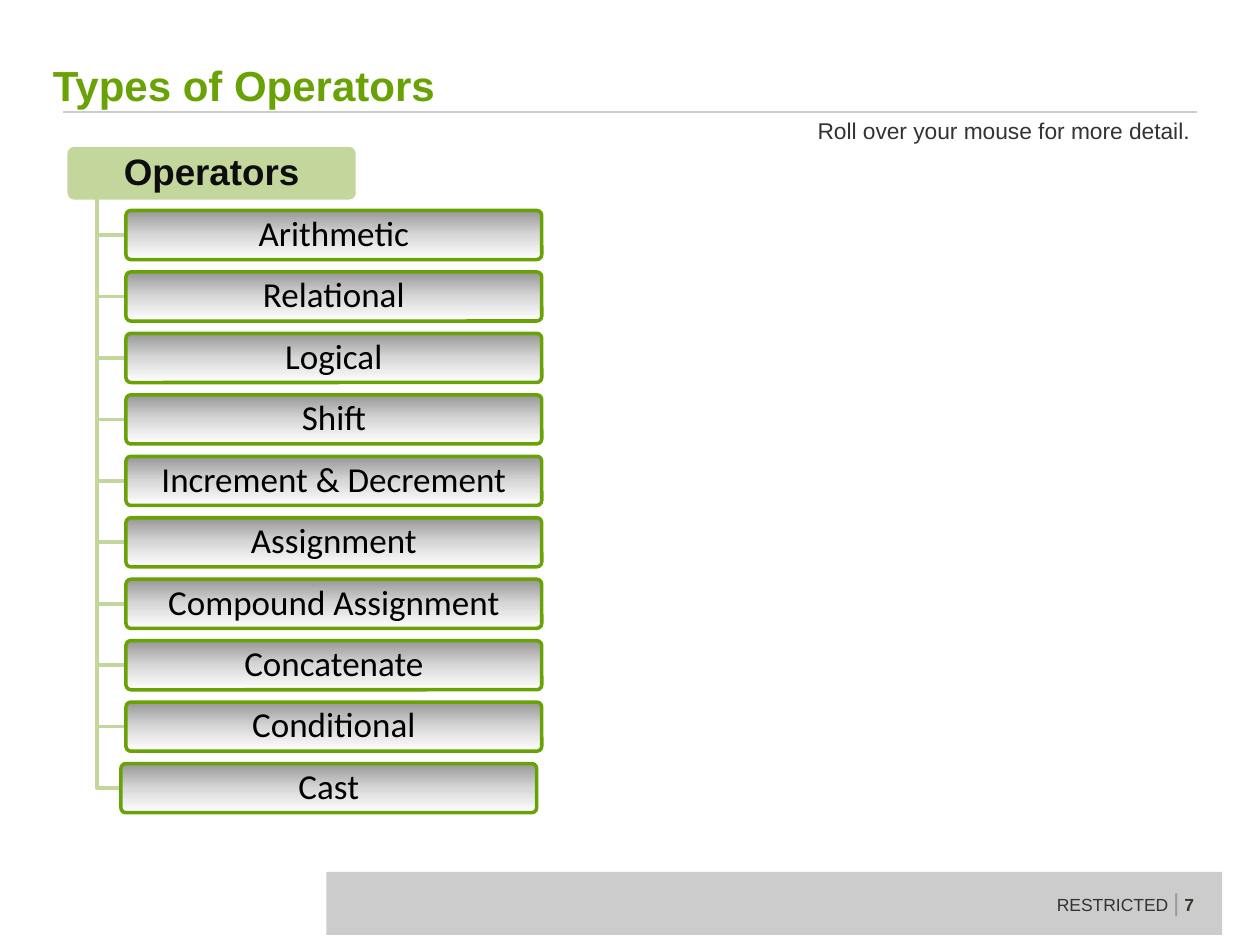
import copy

import pptx
import pptx.dml.color
import pptx.enum.shapes
import pptx.enum.text
import pptx.oxml.ns
import pptx.util
from lxml import etree

Inches = pptx.util.Inches
Pt = pptx.util.Pt
Shapes = pptx.enum.shapes.MSO_SHAPE
Align = pptx.enum.text.PP_ALIGN
Anchor = pptx.enum.text.MSO_ANCHOR
AutoSize = pptx.enum.text.MSO_AUTO_SIZE

COLORS = {
    "green": "69A205",
    "pale_green": "C3D69B",
    "bar": "CCCCCC",
    "text": "333333",
    "divider": "999999",
    "page": "3A372F",
    "heading": "0D0D0D",
    "black": "000000",
}
BOX_GRADIENT = [(0, "979797"), (0.5, "D7D7D7"), (1, "FFFFFF")]
OPERATORS = [
    "Arithmetic", "Relational", "Logical", "Shift", "Increment & Decrement",
    "Assignment", "Compound Assignment", "Concatenate", "Conditional", "Cast",
]
BOX_HEIGHT = Inches(0.39)


def rgb(name):
    return pptx.dml.color.RGBColor.from_string(COLORS.get(name, name))


def style_font(font, size, color, name="Arial", bold=False):
    font.name = name
    font.size = Pt(size)
    font.bold = bold
    font.color.rgb = rgb(color)


def set_line(shape, color, width):
    shape.line.color.rgb = rgb(color)
    shape.line.width = Pt(width)


def set_margins(frame, left, top, right, bottom):
    frame.margin_left, frame.margin_top = Inches(left), Inches(top)
    frame.margin_right, frame.margin_bottom = Inches(right), Inches(bottom)


def fill_gradient(shape, stops):
    shape.fill.gradient()
    shape.fill.gradient_angle = 270
    first = shape._element.spPr.find(".//" + pptx.oxml.ns.qn("a:gs"))
    first.addnext(copy.deepcopy(first))
    for stop, (position, color) in zip(shape.fill.gradient_stops, stops):
        stop.position = position
        stop.color.rgb = rgb(color)


def add_title(slide, left, top, width, height):
    title = slide.shapes.title
    title.left, title.top, title.width, title.height = left, top, width, height
    frame = title.text_frame
    frame.text = "Types of Operators"
    frame.auto_size = AutoSize.NONE
    frame.vertical_anchor = Anchor.BOTTOM
    set_margins(frame, 0, 0, 0, 0.05)
    frame.paragraphs[0].alignment = Align.LEFT
    style_font(frame.paragraphs[0].font, 24, "green", bold=True)


def add_title_rule(slide, left, top, width):
    rule = slide.shapes.add_connector(
        pptx.enum.shapes.MSO_CONNECTOR.STRAIGHT, left, top, left + width, top)
    set_line(rule, "bar", 1.5)
    etree.SubElement(rule._element.spPr, pptx.oxml.ns.qn("a:effectLst"))


def add_note(slide, left, top, width, height):
    frame = slide.shapes.add_textbox(left, top, width, height).text_frame
    frame.word_wrap = False
    frame.text = "Roll over your mouse for more detail."
    style_font(frame.paragraphs[0].font, 13, "text")


def add_footer(slide, left, top, width, height):
    bar = slide.shapes.add_shape(Shapes.RECTANGLE, left, top, width, height)
    bar.shadow.inherit = False
    bar.fill.solid()
    bar.fill.fore_color.rgb = rgb("bar")
    bar.line.fill.background()

    label_width = Inches(1.4)
    label = slide.shapes.add_textbox(
        left + width - label_width - Inches(0.01), top + Inches(0.07),
        label_width, Inches(0.34))
    label.text_frame.word_wrap = False
    paragraph = label.text_frame.paragraphs[0]
    for text, size, color, bold in [
        ("RESTRICTED ", 10, "text", False),
        ("|", 14, "divider", False),
        (" 7", 10, "page", True),
    ]:
        run = paragraph.add_run()
        run.text = text
        style_font(run.font, size, color, bold=bold)


def add_box(slide, text, left, top, width, line_color):
    box = slide.shapes.add_shape(
        Shapes.ROUNDED_RECTANGLE, left, top, width, BOX_HEIGHT)
    box.adjustments[0] = 0.1
    box.shadow.inherit = False
    set_line(box, line_color, 2)
    frame = box.text_frame
    frame.word_wrap = True
    frame.vertical_anchor = Anchor.MIDDLE
    set_margins(frame, 0.06, 0.04, 0.06, 0.04)
    frame.text = text
    frame.paragraphs[0].alignment = Align.CENTER
    frame.paragraphs[0].line_spacing = 0.9
    return box


def add_branch(slide, trunk, start, end, middle):
    builder = slide.shapes.build_freeform(trunk, start)
    builder.add_line_segments([(trunk, middle), (end, middle)], close=False)
    branch = builder.convert_to_shape()
    branch.shadow.inherit = False
    branch.fill.background()
    set_line(branch, "pale_green", 2)


def add_operator_tree(slide, left, top, width, height):
    heading_width = Inches(2.26)
    heading = add_box(slide, "Operators", left, top, heading_width, "pale_green")
    heading.fill.solid()
    heading.fill.fore_color.rgb = rgb("pale_green")
    style_font(heading.text_frame.paragraphs[0].font, 21, "heading", bold=True)

    trunk = left + Inches(0.22)
    indent = Inches(0.45)
    first_top = top + Inches(0.49)
    last_top = top + height - BOX_HEIGHT
    pitch = (last_top - first_top) / (len(OPERATORS) - 1)
    for index, operator in enumerate(OPERATORS):
        box_left = left + indent
        if operator == "Cast":
            box_left -= Inches(0.04)
        box_top = round(first_top + index * pitch)
        add_branch(slide, trunk, top + BOX_HEIGHT, box_left,
                   box_top + BOX_HEIGHT // 2)
        box = add_box(slide, operator, box_left, box_top, width - indent, "green")
        fill_gradient(box, BOX_GRADIENT)
        style_font(box.text_frame.paragraphs[0].font, 20, "black", "Calibri")


def main():
    deck = pptx.Presentation()
    deck.slide_width, deck.slide_height = Inches(10), Inches(7.5)
    slide = deck.slides.add_slide(deck.slide_layouts[5])
    add_title_rule(slide, Inches(0.5), Inches(0.89), Inches(9))
    add_footer(slide, Inches(2.59), Inches(6.92), Inches(7.11), Inches(0.5))
    add_title(slide, Inches(0.42), Inches(0.35), Inches(9.14), Inches(0.57))
    add_operator_tree(slide, Inches(0.55), Inches(1.18), Inches(3.75), Inches(5.27))
    add_note(slide, Inches(6.39), Inches(0.88), Inches(3.2), Inches(0.32))
    deck.save("out.pptx")


if __name__ == "__main__":
    main()
